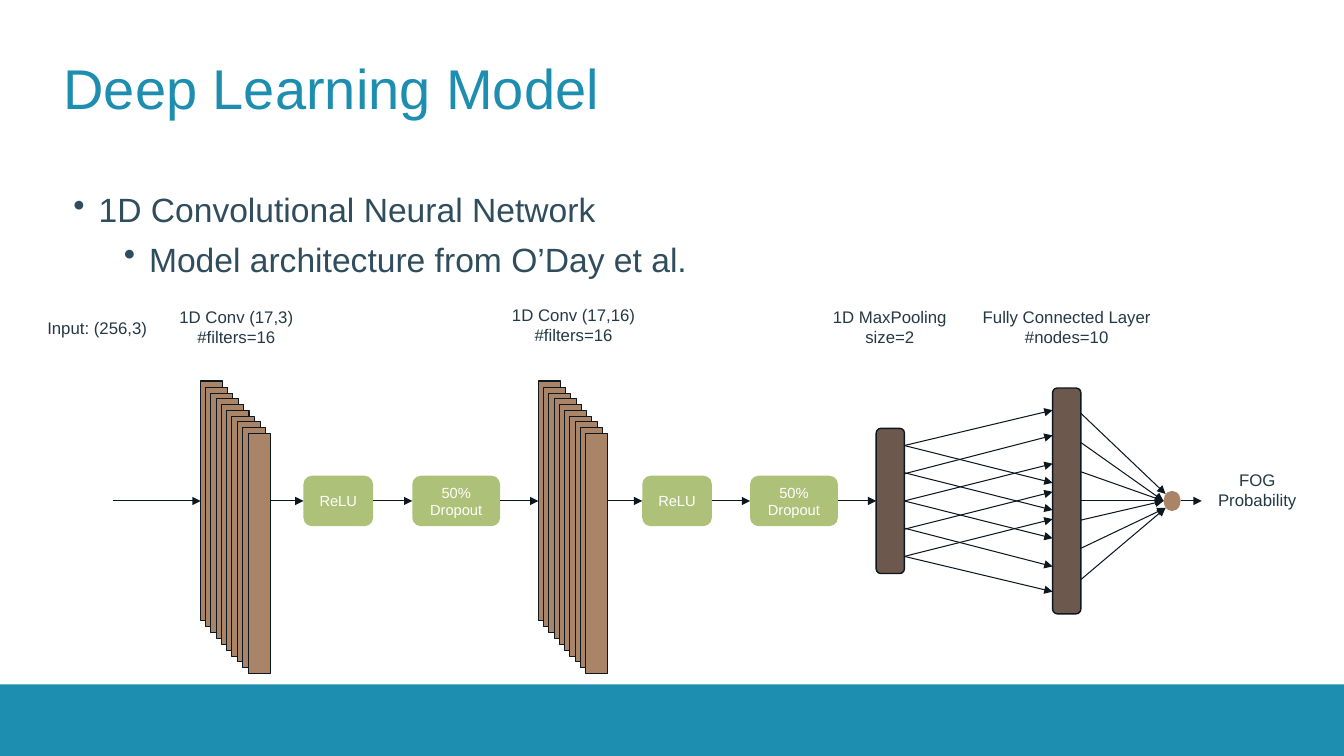
from dataclasses import dataclass

from lxml import etree
from pptx import Presentation, util as u
from pptx.dml.color import RGBColor
from pptx.enum import shapes, text
from pptx.oxml.ns import qn

RECT = shapes.MSO_SHAPE.RECTANGLE
ROUND = shapes.MSO_SHAPE.ROUNDED_RECTANGLE
OVAL = shapes.MSO_SHAPE.OVAL
LEFT, CENTER = text.PP_ALIGN.LEFT, text.PP_ALIGN.CENTER
MIDDLE = text.MSO_ANCHOR.MIDDLE
LEFT_SIDE, RIGHT_SIDE = 1, 3


@dataclass(frozen=True)
class Theme:
    font: str = "Arial"
    accent: str = "1D8DB0"
    body: str = "2F4D5D"
    label: str = "233945"
    ink: str = "0D1720"
    filter: str = "A98467"
    operation: str = "ADC178"
    layer: str = "6C584C"
    white: str = "FFFFFF"
    title_pt: float = 40
    body_pt: float = 24
    label_pt: float = 12
    box_pt: float = 10.5
    thin: float = 0.75
    thick: float = 1


def px(n):
    return u.Emu(n * 9144)


def rgb(value):
    return RGBColor.from_string(value)


def apply(target, values):
    for name, value in values.items():
        setattr(target, name, value)


class Deck:
    def __init__(self, theme):
        self.theme = theme
        self.prs = Presentation()
        apply(self.prs, {"slide_width": px(1333), "slide_height": px(750)})
        self.s = self.prs.slides.add_slide(self.prs.slide_layouts[5])

    def fill_text(self, tf, content, size, color, align=CENTER):
        tf.text = content
        for p in tf.paragraphs:
            p.alignment = align
            for r in p.runs:
                apply(r.font, {"name": self.theme.font, "size": u.Pt(size)})
                r.font.color.rgb = rgb(color)

    def title(self, content, x, y, w, h):
        sp = self.s.shapes.title
        apply(sp, {"left": px(x), "top": px(y), "width": px(w), "height": px(h)})
        tf = sp.text_frame
        apply(tf, {"margin_left": 0, "margin_right": 0, "margin_top": 0,
                   "margin_bottom": 0, "vertical_anchor": MIDDLE,
                   "word_wrap": True, "auto_size": text.MSO_AUTO_SIZE.NONE})
        self.fill_text(tf, content, self.theme.title_pt, self.theme.accent, LEFT)

    def label(self, content, x, y, w, h):
        sp = self.s.shapes.add_textbox(px(x), px(y), px(w), px(h))
        tf = sp.text_frame
        apply(tf, {"word_wrap": True,
                   "auto_size": text.MSO_AUTO_SIZE.SHAPE_TO_FIT_TEXT})
        self.fill_text(tf, content, self.theme.label_pt, self.theme.label)

    def bullets(self, lines, x, y, w, h):
        sp = self.s.shapes.add_textbox(px(x), px(y), px(w), px(h))
        tf = sp.text_frame
        tf.word_wrap = True
        self.fill_text(tf, "\n".join(lines), self.theme.body_pt, self.theme.body, LEFT)
        for level, p in enumerate(tf.paragraphs):
            pPr = p._p.get_or_add_pPr()
            pPr.set("marL", str(px(25 + 50 * level)))
            pPr.set("indent", str(px(-25)))
            color = etree.SubElement(pPr, qn("a:buClr"))
            etree.SubElement(color, qn("a:srgbClr"), val=self.theme.body)
            etree.SubElement(pPr, qn("a:buChar"), char="•")
            apply(p, {"level": level, "line_spacing": 1.05,
                      "space_before": u.Pt(5 * level)})

    def shape(self, kind, x, y, w, h, fill, line=None, content=None):
        sp = self.s.shapes.add_shape(kind, px(x), px(y), px(w), px(h))
        sp.shadow.inherit = False
        sp.fill.solid()
        sp.fill.fore_color.rgb = rgb(fill)
        if line:
            sp.line.color.rgb = rgb(self.theme.ink)
            sp.line.width = u.Pt(line)
        else:
            sp.line.fill.background()
        if content:
            apply(sp.text_frame, {"word_wrap": True, "vertical_anchor": MIDDLE})
            self.fill_text(sp.text_frame, content, self.theme.box_pt, self.theme.white)
        return sp

    def stack(self, x, y, count=10, dx=47, dy=52):
        steps = [i / (count - 1) for i in range(count)]
        sheets = [self.shape(RECT, x + round(dx * t), y + round(dy * t), 22, 238,
                             self.theme.filter, self.theme.thin) for t in steps]
        return sheets[0]

    def arrow(self, start, end):
        ends = [(0, 0) if hasattr(e, "shape_id") else e for e in (start, end)]
        cn = self.s.shapes.add_connector(
            shapes.MSO_CONNECTOR.STRAIGHT, *(px(n) for e in ends for n in e))
        if hasattr(start, "shape_id"):
            cn.begin_connect(start, RIGHT_SIDE)
        if hasattr(end, "shape_id"):
            cn.end_connect(end, LEFT_SIDE)
        cn.line.color.rgb = rgb(self.theme.ink)
        cn.line.width = u.Pt(self.theme.thin)
        ln = cn._element.spPr.find(qn("a:ln"))
        etree.SubElement(ln, qn("a:tailEnd"), type="triangle")
        etree.SubElement(cn._element.spPr, qn("a:effectLst"))


def main():
    theme = Theme()
    deck = Deck(theme)
    axis = 497

    deck.shape(RECT, 0, 679, 1333, 71, theme.accent)
    deck.title("Deep Learning Model", 63, 23, 1207, 126)
    deck.bullets(["1D Convolutional Neural Network",
                  "Model architecture from O’Day et al."], 63, 181, 1207, 110)

    for content, x, y, w, h in [
        ("Input: (256,3)", 23, 310, 147, 30),
        ("1D Conv (17,3)\n#filters=16", 161, 299, 147, 50),
        ("1D Conv (17,16)\n#filters=16", 486, 297, 166, 50),
        ("1D MaxPooling\nsize=2", 809, 299, 147, 50),
        ("Fully Connected Layer\n#nodes=10", 954, 299, 208, 50),
        ("FOG Probability", 1184, 461, 126, 50),
    ]:
        deck.label(content, x, y, w, h)

    pool = deck.shape(ROUND, 869, axis - 72, 28, 144, theme.layer, theme.thick)
    dense = deck.shape(ROUND, 1044, axis - 112, 28, 224, theme.layer, theme.thick)
    deck.shape(OVAL, 1154, axis - 10, 17, 20, theme.filter)

    convs = [deck.stack(x, 378) for x in (199, 534)]
    deck.arrow((112, axis), convs[0])
    for front, relu_x, drop_x, following in [(268, 301, 409, convs[1]),
                                             (603, 637, 744, pool)]:
        relu = deck.shape(ROUND, relu_x, axis - 25, 69, 50, theme.operation,
                          content="ReLU")
        dropout = deck.shape(ROUND, drop_x, axis - 25, 87, 50, theme.operation,
                             content="50% Dropout")
        deck.arrow((front, axis), relu)
        deck.arrow(relu, dropout)
        deck.arrow(dropout, following)

    pool_rows = [442, 470, 497, 525, 552]
    dense_rows = [407, 432, 460, 488, 515]
    for pool_y, dense_y in zip(pool_rows, dense_rows):
        start = pool if pool_y == axis else (897, pool_y)
        deck.arrow(start, (1044, dense_y))
        if pool_y != axis:
            start = (897, 2 * axis - pool_y)
        deck.arrow(start, (1044, 2 * axis - dense_y))

    for y, end in [(410, (1156, 490)), (439, (1154, axis)), (468, (1154, axis)),
                   (axis, (1154, axis)), (516, (1154, axis)),
                   (544, (1156, 504)), (575, (1156, 504))]:
        deck.arrow(dense if y == axis else (1072, y), end)
    deck.arrow((1171, axis), (1192, axis))

    deck.prs.save("out.pptx")


if __name__ == "__main__":
    main()
